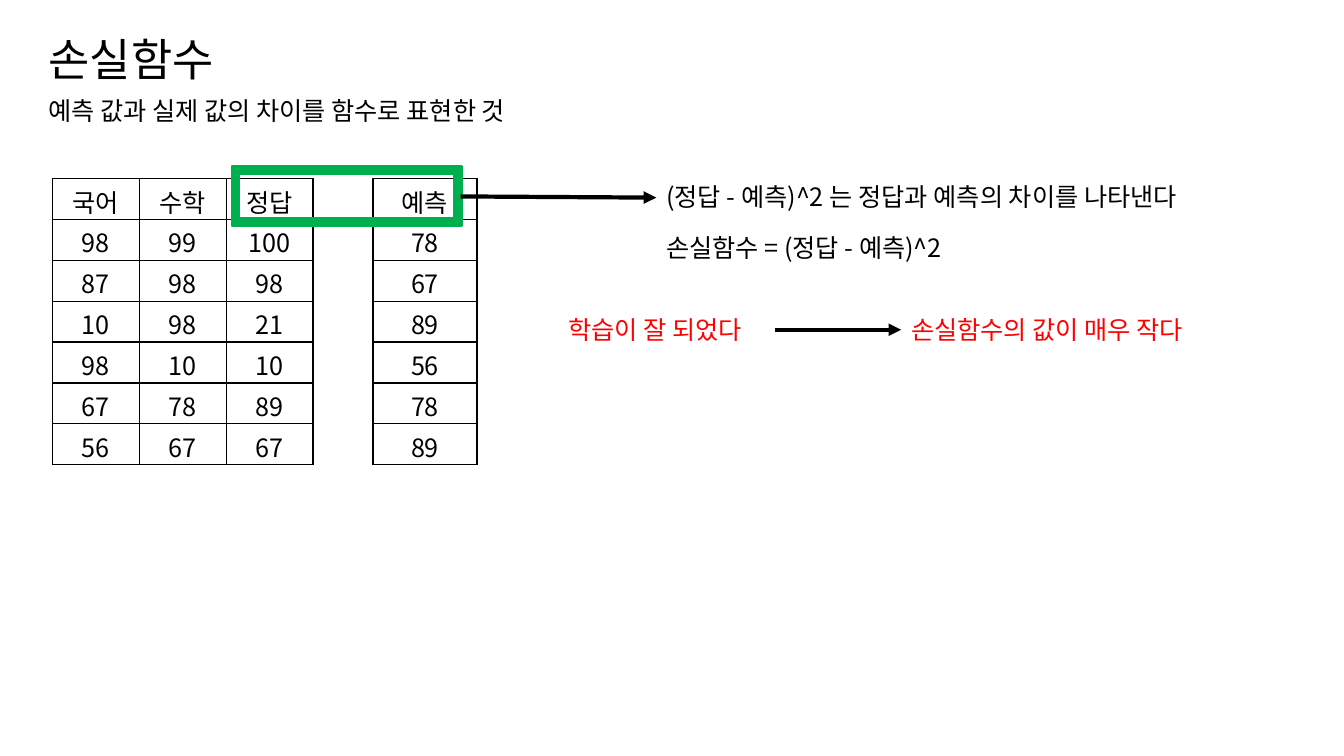
"""Build the loss function slide with its score tables and formula."""
import pptx
import pptx.util
import pptx.dml.color
import pptx.enum.shapes
import pptx.enum.text
import pptx.oxml.ns
from lxml import etree

Cm, Pt = pptx.util.Cm, pptx.util.Pt
qn = pptx.oxml.ns.qn
FONT = "Noto Sans CJK KR"
BLACK, RED, GREEN = "000000", "FF0000", "00B050"

TITLE = "손실함수"
TEXTS = [
    ("예측 값과 실제 값의 차이를 함수로 표현한 것", 0.97, 2.29, 13.64, BLACK),
    ("(정답 - 예측)^2 는 정답과 예측의 차이를 나타낸다", 16.54, 4.45, 15.09, BLACK),
    ("손실함수 = (정답 - 예측)^2", 16.54, 5.72, 8.46, BLACK),
    ("학습이 잘 되었다", 14.07, 7.8, 5.46, RED),
    ("손실함수의 값이 매우 작다", 22.71, 7.8, 8.26, RED),
]
SCORES = [
    ("국어", "수학", "정답"),
    ("98", "99", "100"),
    ("87", "98", "98"),
    ("10", "98", "21"),
    ("98", "10", "10"),
    ("67", "78", "89"),
    ("56", "67", "67"),
]
PREDICTIONS = [(value,) for value in ("예측", "78", "67", "89", "56", "78", "89")]
TABLES = [(SCORES, 1.32, 2.19), (PREDICTIONS, 9.4, 2.62)]
TABLE_TOP, ROW_HEIGHT = 4.5, 1.03
ARROWS = [(11.61, 4.95, 16.54, 4.98), (19.53, 8.31, 22.71, 8.31)]


def rgb(value):
    return pptx.dml.color.RGBColor.from_string(value)


def write(frame, text, size=18, color=BLACK, align=pptx.enum.text.PP_ALIGN.LEFT):
    frame.text = text
    para = frame.paragraphs[0]
    para.alignment = align
    for span in para.runs:
        span.font.size = Pt(size)
        span.font.color.rgb = rgb(color)
        span.font.name = FONT
        etree.SubElement(span._r.get_or_add_rPr(), qn("a:ea"), typeface=FONT)


def add_text(slide, text, left, top, width, color):
    box = slide.shapes.add_textbox(Cm(left), Cm(top), Cm(width), Cm(1.02))
    box.text_frame.word_wrap = False
    write(box.text_frame, text, color=color)


def add_borders(cell):
    properties = cell._tc.get_or_add_tcPr()
    for index, side in enumerate(("lnL", "lnR", "lnT", "lnB")):
        line = etree.Element(qn("a:" + side), w=str(Pt(1)))
        fill = etree.SubElement(line, qn("a:solidFill"))
        etree.SubElement(fill, qn("a:srgbClr"), val=BLACK)
        properties.insert(index, line)


def add_table(slide, rows, left, column_width):
    columns = len(rows[0])
    table = slide.shapes.add_table(
        len(rows), columns, Cm(left), Cm(TABLE_TOP),
        Cm(column_width * columns), Cm(ROW_HEIGHT * len(rows))).table
    table.first_row = table.horz_banding = False
    for column in table.columns:
        column.width = Cm(column_width)
    for row, values in zip(table.rows, rows):
        row.height = Cm(ROW_HEIGHT)
        for cell, value in zip(row.cells, values):
            cell.margin_top, cell.margin_bottom = Cm(0.1), 0
            cell.vertical_anchor = pptx.enum.text.MSO_ANCHOR.MIDDLE
            cell.fill.background()
            add_borders(cell)
            write(cell.text_frame, value, align=pptx.enum.text.PP_ALIGN.CENTER)


def add_highlight(slide):
    frame = slide.shapes.add_shape(
        pptx.enum.shapes.MSO_SHAPE.FRAME, Cm(5.84), Cm(4.19), Cm(5.79), Cm(1.5))
    frame.shadow.inherit = False
    frame.fill.solid()
    frame.fill.fore_color.rgb = rgb(GREEN)
    frame.line.color.rgb = rgb(GREEN)
    frame.line.width = Pt(1.5)


def add_arrow(slide, *ends):
    arrow = slide.shapes.add_connector(
        pptx.enum.shapes.MSO_CONNECTOR.STRAIGHT, *map(Cm, ends))
    arrow.line.color.rgb = rgb(BLACK)
    arrow.line.width = Pt(3)
    etree.SubElement(arrow.line._get_or_add_ln(), qn("a:tailEnd"), type="triangle")
    etree.SubElement(arrow._element.spPr, qn("a:effectLst"))


def main():
    deck = pptx.Presentation()
    deck.slide_width, deck.slide_height = Cm(33.87), Cm(19.05)
    slide = deck.slides.add_slide(deck.slide_layouts[5])
    title = slide.shapes.title
    title.left, title.top, title.width, title.height = map(Cm, (0.97, 0.66, 5.08, 1.63))
    title.text_frame.word_wrap = False
    title.text_frame.auto_size = pptx.enum.text.MSO_AUTO_SIZE.NONE
    title.text_frame.vertical_anchor = pptx.enum.text.MSO_ANCHOR.TOP
    write(title.text_frame, TITLE, size=32)
    for table in TABLES:
        add_table(slide, *table)
    add_highlight(slide)
    for arrow in ARROWS:
        add_arrow(slide, *arrow)
    for text in TEXTS:
        add_text(slide, *text)
    deck.save("out.pptx")


if __name__ == "__main__":
    main()
